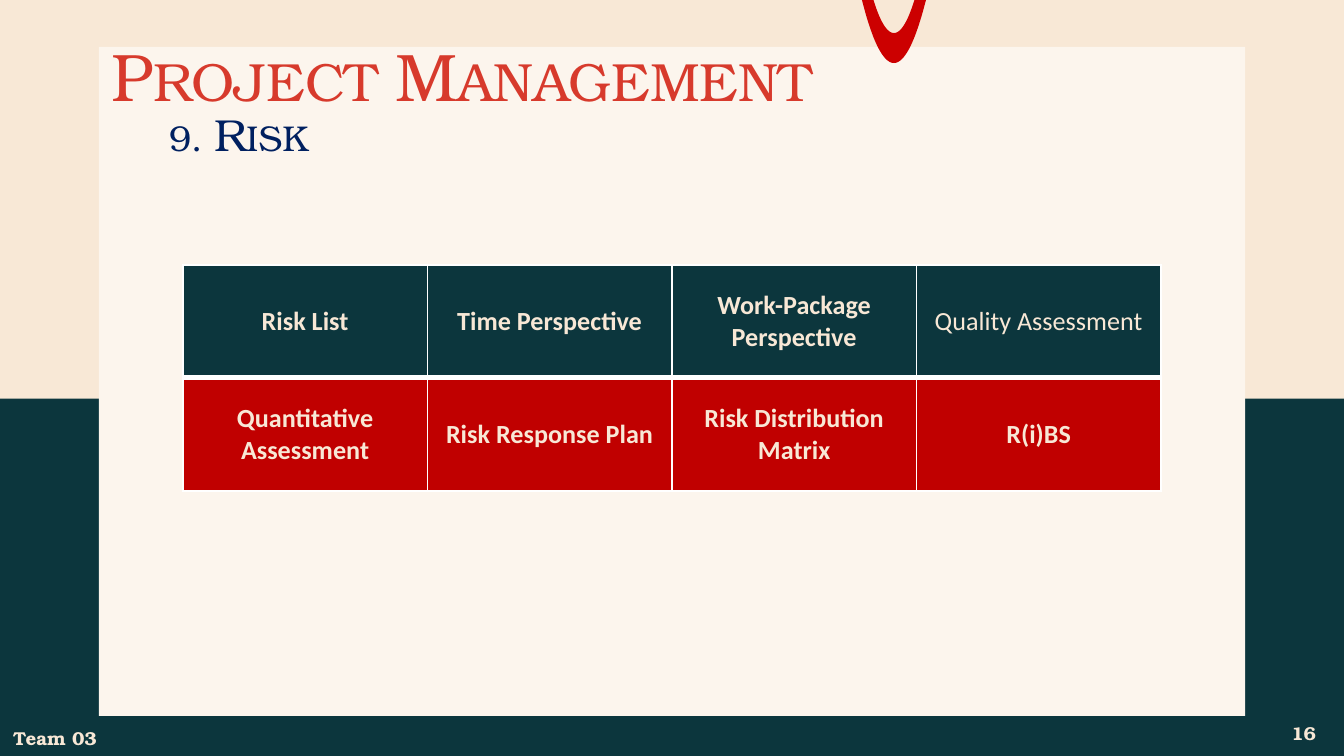
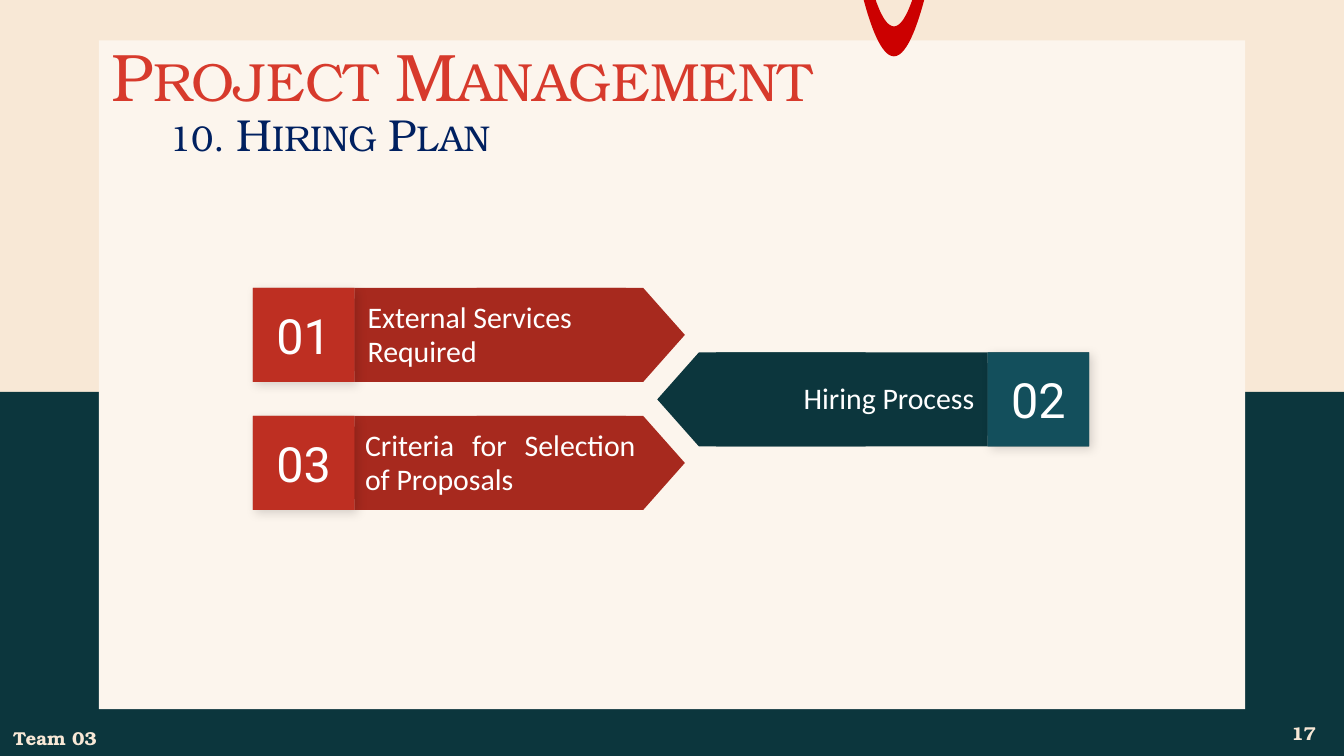
from lxml.etree import SubElement
from pptx import Presentation
from pptx.dml.color import RGBColor
from pptx.enum.shapes import MSO_SHAPE
from pptx.enum.text import MSO_ANCHOR, PP_ALIGN
from pptx.oxml import parse_xml
from pptx.oxml.ns import nsdecls, qn
from pptx.util import Pt

COLORS = {
    "sand": "F8E8D6", "teal": "0C363D", "light_teal": "134F5C", "cream": "FCF5ED",
    "clip": "CC0000", "title": "D73A2C", "navy": "002060", "red": "C00000",
    "brick": "A7291E", "light_brick": "BE2F22", "white": "FFFFFF", "black": "000000",
}
SERIF, SANS, DIGITS = "TeX Gyre Bonum", "Calibri", "Roboto"
WIDTH, HEIGHT = 720, 405


def color(name):
    return RGBColor.from_string(COLORS[name])


def write(frame, text, font=SANS, size=14, ink="white", bold=False, small_caps=False,
          align=PP_ALIGN.LEFT, line_spacing=None):
    frame.word_wrap = True
    para = frame.paragraphs[0]
    para.alignment = align
    if line_spacing:
        para.line_spacing = line_spacing
    span = para.add_run()
    span.text = text
    span.font.name, span.font.size, span.font.bold = font, Pt(size), bold
    span.font.color.rgb = color(ink)
    if small_caps:
        span._r.get_or_add_rPr().set("cap", "small")


def set_insets(frame, inset=7.2):
    frame.margin_left = frame.margin_right = Pt(inset)
    frame.margin_top = frame.margin_bottom = Pt(inset)
    frame.vertical_anchor = MSO_ANCHOR.MIDDLE


def add_text(slide, box, text, **style):
    frame = slide.shapes.add_textbox(*map(Pt, box)).text_frame
    set_insets(frame)
    write(frame, text, **style)


def paint(shape, fill):
    shape.fill.solid()
    shape.fill.fore_color.rgb = color(fill)
    shape.line.fill.background()
    shape.shadow.inherit = False


def add_block(slide, box, fill, kind=MSO_SHAPE.RECTANGLE, text=None, **style):
    shape = slide.shapes.add_shape(kind, *map(Pt, box))
    paint(shape, fill)
    if text:
        set_insets(shape.text_frame)
        write(shape.text_frame, text, **style)
    return shape


def add_shadow(shape):
    effects = shape._element.spPr.find(qn("a:effectLst"))
    shadow = SubElement(effects, qn("a:outerShdw"), blurRad=str(Pt(5.6)),
                        dist=str(Pt(2.2)), dir=str(45 * 60000), rotWithShape="0")
    tint = SubElement(shadow, qn("a:srgbClr"), val=COLORS["black"])
    SubElement(tint, qn("a:alpha"), val="15000")


def add_clip(slide, box):
    """Curved clip: the band between two parabolas hanging from the top edge."""
    left, top, width, height = box
    middle = left + width / 2

    def arc(half_width, depth, steps):
        return [(Pt(middle + half_width * step / 20),
                 Pt(top + depth * (1 - (step / 20) ** 2))) for step in steps]

    outer = arc(width / 2, height, range(-20, 21))
    inner = arc(width * 0.32, height * 0.525, range(20, -21, -1))
    builder = slide.shapes.build_freeform(*outer[0], scale=1.0)
    builder.add_line_segments(outer[1:] + inner, close=True)
    paint(builder.convert_to_shape(), "clip")


def add_backdrop(slide, box):
    left, top, width, height = box
    add_block(slide, box, "sand")
    add_block(slide, (left, top + 213.6, width, height - 213.6), "teal")
    add_block(slide, (left + 53, top + 25.2, width - 106, 358.4), "cream")
    add_clip(slide, (left + 461.8, top, 34.3, 33.8))


def start_slide(deck, subtitle, number, shift=0):
    """Backdrop, titles and footer shared by all slides."""
    slide = deck.slides.add_slide(deck.slide_layouts[6])
    add_backdrop(slide, (0, shift, WIDTH, 409.5))
    add_text(slide, (52.6, 17.3, 643.7, 45.4), "Project Management",
             font=SERIF, size=36, ink="title", small_caps=True)
    footer = dict(font=SERIF, size=10, ink="sand", bold=True)
    add_text(slide, (676.8, 377.3, 43.2, 31), str(number), align=PP_ALIGN.CENTER, **footer)
    add_text(slide, (0, 383, 67.7, 25.2), "Team 03", **footer)
    add_text(slide, (83.5, 49, 643.7, 45.4), subtitle,
             font=SERIF, size=24, ink="navy", small_caps=True)
    return slide


def set_borders(cell, **widths):
    properties = cell._tc.get_or_add_tcPr()
    for index, side in enumerate("LRTB"):
        properties.insert(index, parse_xml(
            f'<a:ln{side} {nsdecls("a")} w="{Pt(widths.get(side, 1))}"><a:solidFill>'
            f'<a:srgbClr val="{COLORS["white"]}"/></a:solidFill></a:ln{side}>'))


def add_risk_table(slide, box):
    rows = [
        ["Risk List", "Time Perspective", "Work-Package Perspective", "Quality Assessment"],
        ["Quantitative Assessment", "Risk Response Plan", "Risk Distribution Matrix", "R(i)BS"],
    ]
    table = slide.shapes.add_table(len(rows), len(rows[0]), *map(Pt, box)).table
    table.first_row = table.horz_banding = False
    for row_index, (texts, fill) in enumerate(zip(rows, ("teal", "red"))):
        for column_index, text in enumerate(texts):
            cell = table.cell(row_index, column_index)
            cell.fill.solid()
            cell.fill.fore_color.rgb = color(fill)
            cell.vertical_anchor = MSO_ANCHOR.MIDDLE
            write(cell.text_frame, text, ink="sand", bold=text != "Quality Assessment",
                  align=PP_ALIGN.CENTER)
            # Thick rule between the two rows
            set_borders(cell, **{"B" if row_index == 0 else "T": 3})


def add_step(slide, box, number, text, fill, square_fill, label_width,
             label_shift=0, points_left=False, align=PP_ALIGN.LEFT):
    """Numbered square with an arrow-shaped label on one side of it."""
    left, top, width, height = box
    square, tip = 54.4, 111.6

    def place(offset, part_width):
        start = width - offset - part_width if points_left else offset
        return left + start, part_width

    # Arrow body and its point, which is a turned connector shape
    start, body = place(square, 145.4)
    add_block(slide, (start, top, body, height), fill)
    start, _ = place(width - tip, tip)
    turned = (start + (tip - height) / 2, top - (tip - height) / 2, height, tip)
    point = add_block(slide, turned, fill, MSO_SHAPE.FLOWCHART_OFFPAGE_CONNECTOR)
    point.rotation = 90 if points_left else 270
    # Label
    start, _ = place(square + label_shift, label_width)
    add_block(slide, (start, top + 5.8, label_width, 38.9), fill, text=text,
              size=16, align=align, line_spacing=0.95)
    # Number square over its shadow
    start, _ = place(0, square)
    add_shadow(add_block(slide, (start, top, square, height), fill))
    add_block(slide, (start, top, square, height), square_fill, text=number,
              font=DIGITS, size=26, align=PP_ALIGN.CENTER)


def add_hiring_steps(slide, box):
    left, top, width, height = box
    step_width, step_height = 231.4, 50.4
    reds = dict(fill="brick", square_fill="light_brick")
    add_step(slide, (left + width - step_width, top + 34.6, step_width, step_height),
             "02", "Hiring Process", "teal", "light_teal", 157.7,
             points_left=True, align=PP_ALIGN.RIGHT)
    add_step(slide, (left, top + height - step_height, step_width, step_height),
             "03", "Criteria for Selection of Proposals", label_width=159.1,
             label_shift=-1.4, align=PP_ALIGN.JUSTIFY, **reds)
    add_step(slide, (left, top, step_width, step_height),
             "01", "External Services Required", label_width=152.6, **reds)


def main():
    deck = Presentation()
    deck.slide_width, deck.slide_height = Pt(WIDTH), Pt(HEIGHT)
    add_risk_table(start_slide(deck, "9. Risk", 16), (98, 142, 524, 121))
    add_hiring_steps(start_slide(deck, "10. Hiring Plan", 17, shift=-3.6),
                     (135.5, 154.2, 448, 119))
    deck.save("out.pptx")


if __name__ == "__main__":
    main()
